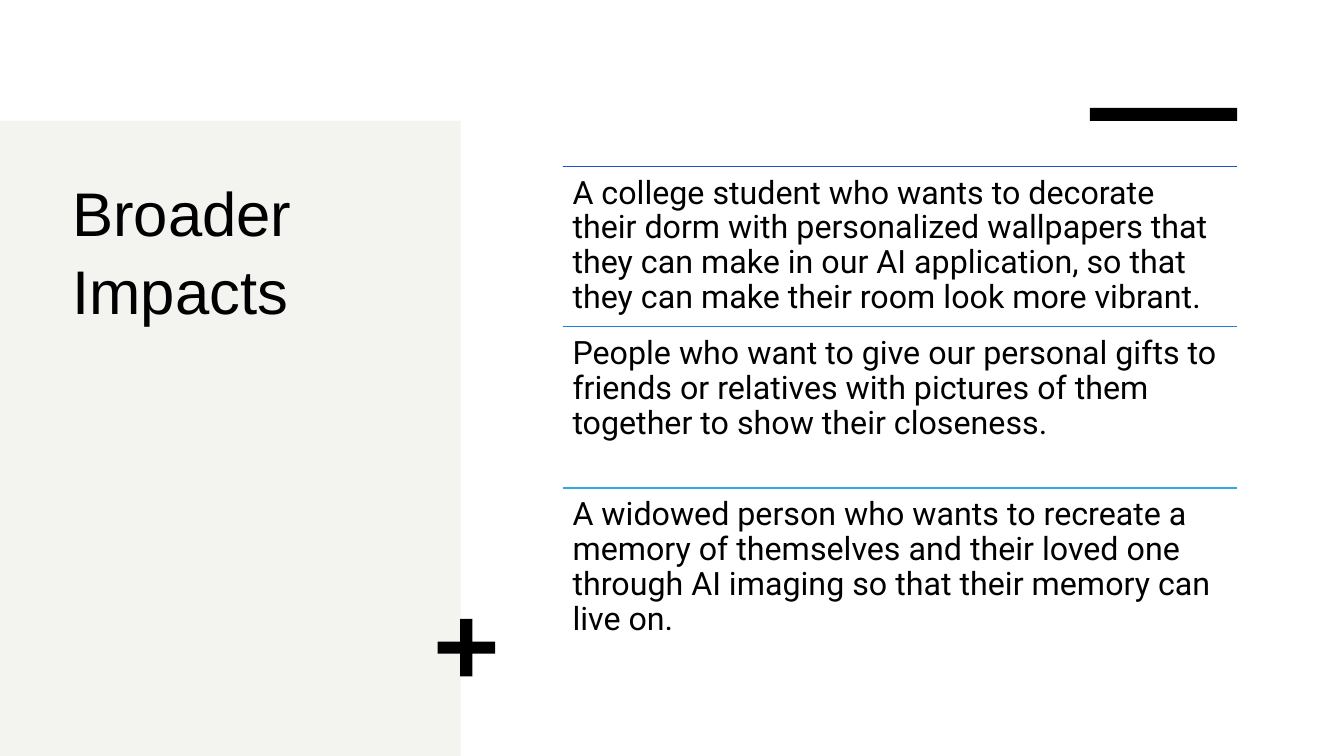
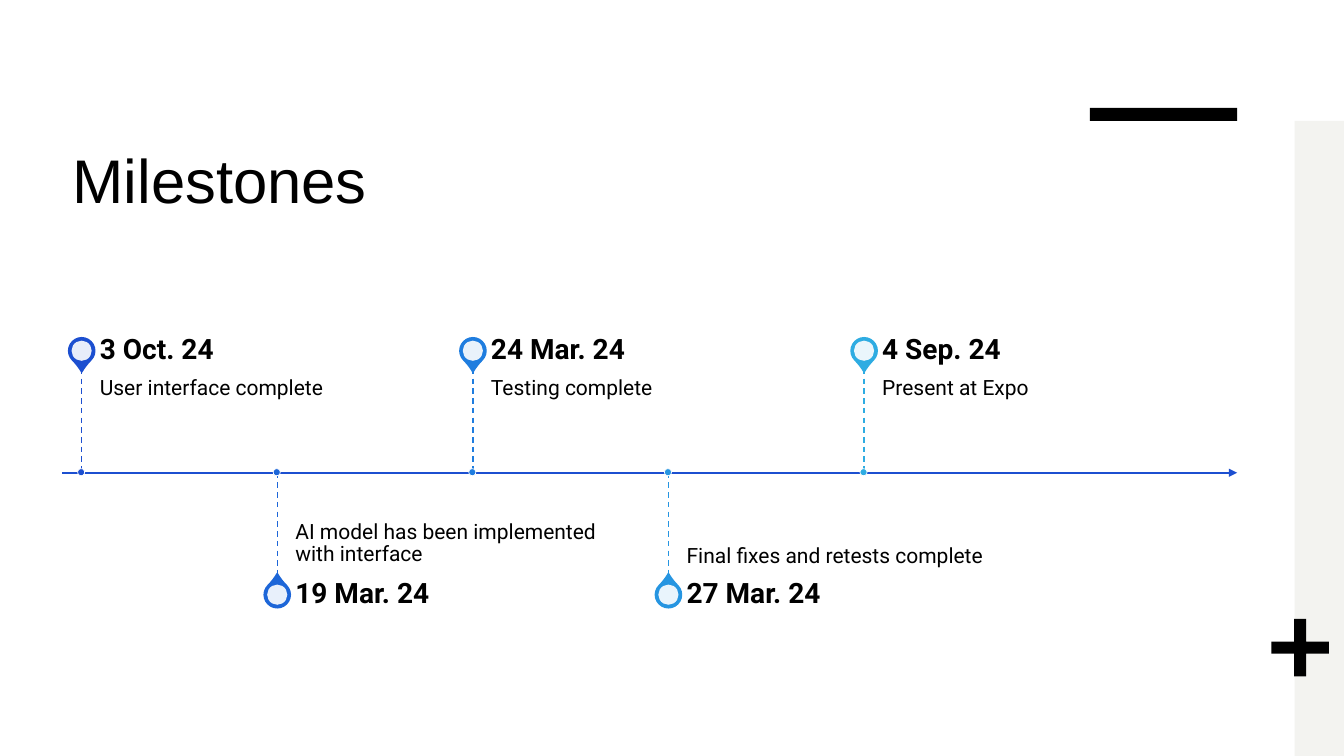
from lxml import etree
from pptx import Presentation
from pptx.dml.color import RGBColor
from pptx.enum import dml, shapes, text
from pptx.oxml import ns
from pptx.util import Emu, Pt

PX = 9144  # one px is a hundredth of an inch
SLIDE_W, SLIDE_H = 1333, 750
BLACK, WHITE, PANEL = "000000", "FFFFFF", "F3F3F0"
BLUES = ["1C4FD0", "1D66D8", "1F7DDF", "2695E1", "2EACE2"]
TITLE_FONT, BODY_FONT = "Arial", "Roboto"
SHAPE, ANCHOR = shapes.MSO_SHAPE, text.MSO_ANCHOR

IMPACTS = [
    "A college student who wants to decorate their dorm with personalized wallpapers "
    "that they can make in our AI application, so that they can make their room look "
    "more vibrant.",
    "People who want to give our personal gifts to friends or relatives with pictures "
    "of them together to show their closeness.",
    "A widowed person who wants to recreate a memory of themselves and their loved one "
    "through AI imaging so that their memory can live on.",
]
MILESTONES = [
    ("3 Oct. 24", "User interface complete"),
    ("19 Mar. 24", "AI model has been implemented with interface"),
    ("24 Mar. 24", "Testing complete"),
    ("27 Mar. 24", "Final fixes and retests complete"),
    ("4 Sep. 24", "Present at Expo"),
]


def emu(*lengths):
    return [Emu(n * PX) for n in lengths]


def color(hex_code):
    return RGBColor.from_string(hex_code)


def sub(parent, tag, **attrs):
    return etree.SubElement(parent, ns.qn(tag), **attrs)


def add_text(s, content, box, size, font=BODY_FONT, bold=False,
             anchor=ANCHOR.TOP, insets=(10, 10, 10, 10), spacing=0.9):
    tf = s.shapes.add_textbox(*emu(*box)).text_frame
    tf.word_wrap = True
    tf.vertical_anchor = anchor
    tf.margin_left, tf.margin_top, tf.margin_right, tf.margin_bottom = emu(*insets)
    p = tf.paragraphs[0]
    p.line_spacing = spacing
    r = p.add_run()
    r.text = content
    r.font.name, r.font.size, r.font.bold = font, Pt(size), bold
    r.font.color.rgb = color(BLACK)


def add_shape(s, kind, box, fill, line=None, width=1, adj=None, rotation=0, alpha=None):
    sp = s.shapes.add_shape(kind, *emu(*box))
    sp.shadow.inherit = False
    sp.rotation = rotation
    sp.fill.solid()
    sp.fill.fore_color.rgb = color(fill)
    if alpha is not None:
        rgb = sp.fill._xPr.find(".//" + ns.qn("a:srgbClr"))
        sub(rgb, "a:alpha", val=str(alpha * 1000))
    if line:
        sp.line.color.rgb = color(line)
        sp.line.width = Pt(width)
    else:
        sp.line.fill.background()
    if adj is not None:
        sp.adjustments[0] = adj


def add_line(s, x1, y1, x2, y2, hex_code, width=1, dashed=False, arrow=False):
    c = s.shapes.add_connector(shapes.MSO_CONNECTOR.STRAIGHT, *emu(x1, y1, x2, y2))
    c.line.color.rgb = color(hex_code)
    c.line.width = Pt(width)
    if dashed:
        c.line.dash_style = dml.MSO_LINE.DASH
    if arrow:
        sub(c.line._get_or_add_ln(), "a:tailEnd", type="triangle")
    sub(c._element.spPr, "a:effectLst")


def add_frame(prs, title, title_box, panel_x, panel_w, plus_x):
    """Blank slide with the title, side panel, top bar and plus sign."""
    s = prs.slides.add_slide(prs.slide_layouts[6])
    add_shape(s, SHAPE.RECTANGLE, (panel_x, 120, panel_w, SLIDE_H - 120), PANEL)
    add_text(s, title, title_box, 44, font=TITLE_FONT,
             insets=(10, 5, 10, 5), spacing=1.05)
    add_shape(s, SHAPE.RECTANGLE, (1081, 107, 146, 13), BLACK)
    add_shape(s, SHAPE.CROSS, (plus_x, 614, 57, 57), BLACK, adj=0.395)
    return s


def add_ruled_list(s, box, items):
    """Equal rows, each under a thin rule."""
    x, y, w, h = box
    for i, (item, hue) in enumerate(zip(items, BLUES[::2])):
        top = y + i * h // len(items)
        add_line(s, x, top, x + w, top, hue)
        add_text(s, item, (x, top, w, h // len(items)), 23)


def add_milestone(s, x, axis_y, date, caption, hue, above):
    """Pin, texts, dashed stem and axis dot for one date."""
    stem, date_h, text_w = 103, 36, 323
    if above:
        stem_end = axis_y - stem
        date_y, caption_y = stem_end - date_h, stem_end
        rotation, anchor, insets = 135, ANCHOR.TOP, (0, 10, 10, 16)
    else:
        stem_end = axis_y + stem
        date_y, caption_y = stem_end, axis_y
        rotation, anchor, insets = 315, ANCHOR.BOTTOM, (0, 16, 0, 10)
    pin_y = date_y + date_h // 2

    # Pin
    add_shape(s, SHAPE.TEAR, (x - 13, pin_y - 13, 26, 26), hue, line=hue,
              adj=1.15, rotation=rotation)
    add_shape(s, SHAPE.OVAL, (x - 10, pin_y - 10, 20, 20), WHITE, alpha=90)
    # Texts
    add_text(s, caption, (x + 18, caption_y, text_w, stem), 15,
             anchor=anchor, insets=insets)
    add_text(s, date, (x + 18, date_y, text_w, date_h), 20, bold=True,
             anchor=ANCHOR.MIDDLE, insets=(0, 0, 14, 0))
    # Stem and dot
    add_line(s, x, min(axis_y, stem_end), x, max(axis_y, stem_end), hue, dashed=True)
    add_shape(s, SHAPE.OVAL, (x - 4, axis_y - 4, 7, 7), hue, line=WHITE, width=0.5)


def add_timeline(s, box, milestones):
    """Arrow through the middle of the box, dates alternating above and below."""
    x, y, w, h = box
    axis_y = y + h // 2
    add_line(s, x, axis_y, x + w, axis_y, BLUES[0], width=1.5, arrow=True)
    for i, ((date, caption), hue) in enumerate(zip(milestones, BLUES)):
        pin_x = x + 19 + i * w // (len(milestones) + 1)
        add_milestone(s, pin_x, axis_y, date, caption, hue, above=i % 2 == 0)


def main():
    prs = Presentation()
    prs.slide_width, prs.slide_height = emu(SLIDE_W, SLIDE_H)

    # Broader impacts
    s = add_frame(prs, "Broader Impacts", (62, 165, 350, 440), 0, 457, 434)
    add_ruled_list(s, (558, 165, 669, 479), IMPACTS)

    # Milestones
    s = add_frame(prs, "Milestones", (62, 132, 904, 158), 1284, SLIDE_W - 1284, 1261)
    add_timeline(s, (62, 329, 1165, 280), MILESTONES)

    prs.save("out.pptx")


if __name__ == "__main__":
    main()
